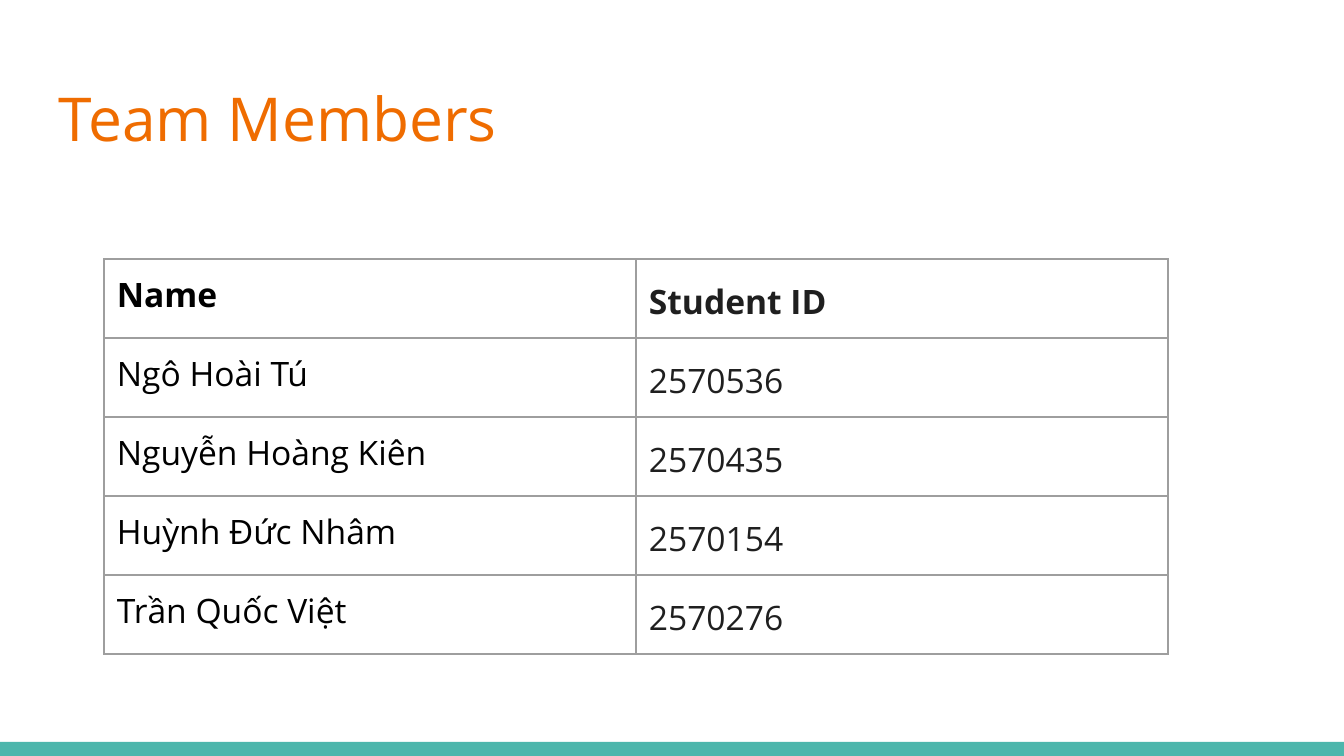
from lxml import etree
from pptx import Presentation
from pptx.dml.color import RGBColor
from pptx.enum.shapes import MSO_SHAPE
from pptx.enum.text import MSO_ANCHOR
from pptx.oxml.ns import qn
from pptx.util import Emu, Pt

RECT = MSO_SHAPE.RECTANGLE
MIDDLE = MSO_ANCHOR.MIDDLE
TOP = MSO_ANCHOR.TOP

EMU_PER_PX = 914400 / 134.4
WIDTH, HEIGHT = 1344, 756
INSET = 13
FONT = "Open Sans"
COLORS = {
    "background": "FFFFFF",
    "bar": "4DB6AC",
    "title": "EF6C00",
    "name": "000000",
    "id": "1F1F1F",
    "border": "9E9E9E",
}
MEMBERS = [
    ("Name", "Student ID"),
    ("Ngô Hoài Tú", "2570536"),
    ("Nguyễn Hoàng Kiên", "2570435"),
    ("Huỳnh Đức Nhâm", "2570154"),
    ("Trần Quốc Việt", "2570276"),
]


def px(n):
    return Emu(round(n * EMU_PER_PX))


def rgb(name):
    return RGBColor.from_string(COLORS[name])


def set_insets(box):
    """Give a text frame or a table cell the same margin on all sides."""
    box.margin_left = box.margin_right = px(INSET)
    box.margin_top = box.margin_bottom = px(INSET)


def add_run(p, text, size, color, bold=False):
    r = p.add_run()
    r.text = text
    r.font.name = FONT
    r.font.size = Pt(size)
    r.font.bold = bold
    r.font.color.rgb = rgb(color)


def add_bar(s, x, y, w, h):
    sp = s.shapes.add_shape(RECT, px(x), px(y), px(w), px(h))
    sp.shadow.inherit = False
    sp.fill.solid()
    sp.fill.fore_color.rgb = rgb("bar")
    sp.line.fill.background()


def add_title(s, text, x, y, w, h):
    tf = s.shapes.add_textbox(px(x), px(y), px(w), px(h)).text_frame
    tf.word_wrap = True
    tf.vertical_anchor = MIDDLE
    set_insets(tf)
    add_run(tf.paragraphs[0], text, 32.4, "title")


def set_borders(cell):
    """Draw all four edges; they must come before the fill in the XML."""
    tc_pr = cell._tc.get_or_add_tcPr()
    for i, side in enumerate(("lnL", "lnR", "lnT", "lnB")):
        ln = etree.Element(qn(f"a:{side}"), w=str(Pt(0.75)))
        fill = etree.SubElement(ln, qn("a:solidFill"))
        etree.SubElement(fill, qn("a:srgbClr"), val=COLORS["border"])
        tc_pr.insert(i, ln)


def fill_cell(cell, text, color, bold, line_spacing):
    cell.fill.background()
    cell.vertical_anchor = TOP
    set_insets(cell)
    set_borders(cell)
    p = cell.text_frame.paragraphs[0]
    p.line_spacing = line_spacing
    add_run(p, text, 18, color, bold)


def add_member_table(s, rows, x, y, col_w, row_h):
    n_cols = len(rows[0])
    frame = s.shapes.add_table(len(rows), n_cols, px(x), px(y),
                               px(col_w * n_cols), px(row_h * len(rows)))
    table = frame.table
    table.horz_banding = False
    for col in table.columns:
        col.width = px(col_w)
    for i, (name, student_id) in enumerate(rows):
        table.rows[i].height = px(row_h)
        header = i == 0
        fill_cell(table.cell(i, 0), name, "name", header, 1.0)
        fill_cell(table.cell(i, 1), student_id, "id", header, 1.15)


def main():
    prs = Presentation()
    prs.slide_width, prs.slide_height = px(WIDTH), px(HEIGHT)
    s = prs.slides.add_slide(prs.slide_layouts[6])
    s.background.fill.solid()
    s.background.fill.fore_color.rgb = rgb("background")

    add_bar(s, 0, 742, WIDTH, 14)
    add_title(s, "Team Members", 46, 66, 1253, 103)
    add_member_table(s, MEMBERS, 104, 259, 532, 79)
    prs.save("out.pptx")


if __name__ == "__main__":
    main()
